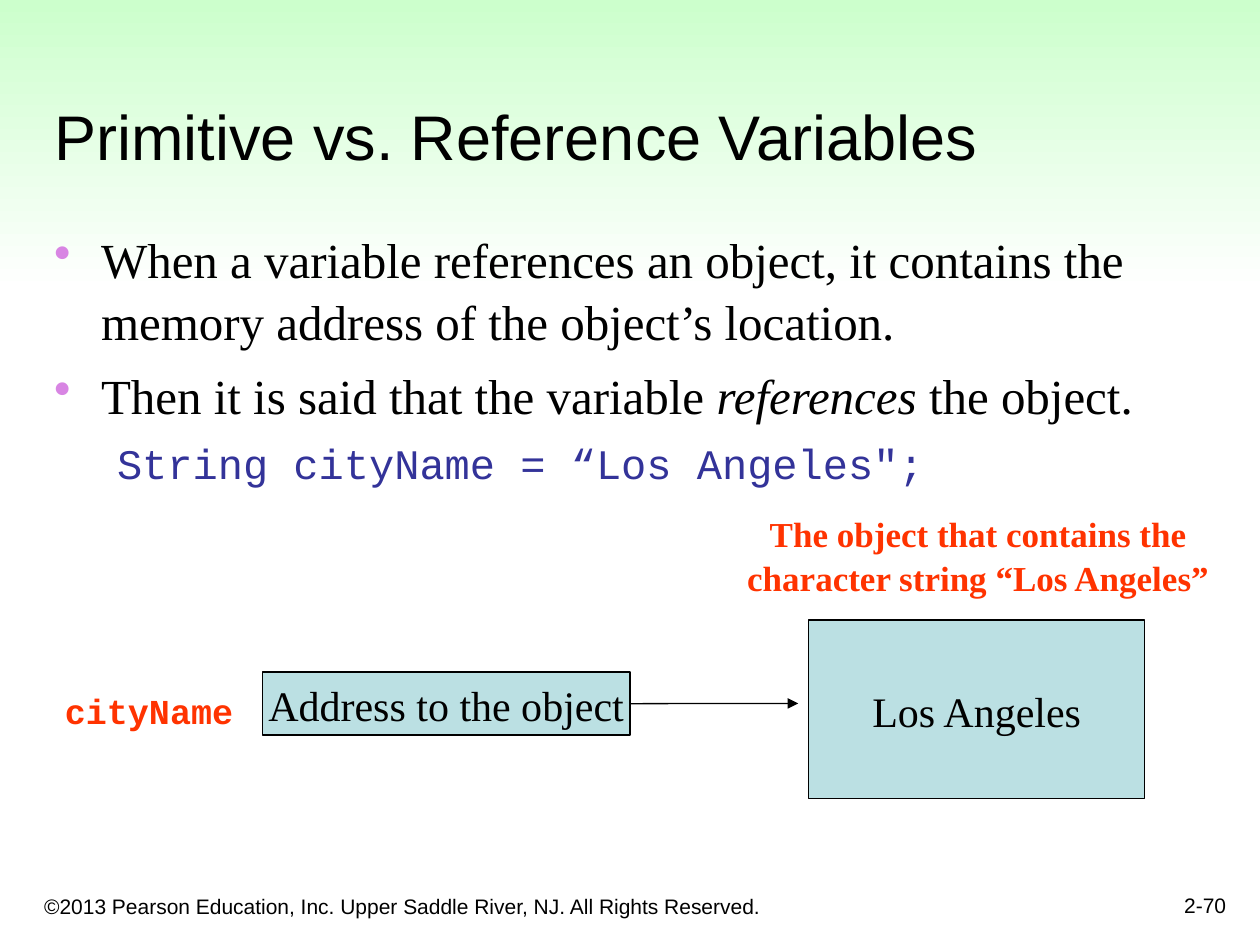
from dataclasses import dataclass

from lxml import etree
from pptx import Presentation
from pptx.dml.color import RGBColor
from pptx.enum.shapes import MSO_CONNECTOR, MSO_SHAPE
from pptx.enum.text import MSO_ANCHOR, MSO_AUTO_SIZE, PP_ALIGN
from pptx.oxml.ns import qn
from pptx.util import Cm, Pt

LEFT, CENTER, RIGHT = PP_ALIGN.LEFT, PP_ALIGN.CENTER, PP_ALIGN.RIGHT
TOP, MIDDLE, BOTTOM = MSO_ANCHOR.TOP, MSO_ANCHOR.MIDDLE, MSO_ANCHOR.BOTTOM
RECTANGLE, STRAIGHT = MSO_SHAPE.RECTANGLE, MSO_CONNECTOR.STRAIGHT
NO_AUTOFIT = MSO_AUTO_SIZE.NONE
RIGHT_SIDE = 3


@dataclass(frozen=True)
class Theme:
    sans: str = "Arial"
    serif: str = "Times New Roman"
    mono: str = "Courier New"
    black: RGBColor = RGBColor(0x00, 0x00, 0x00)
    white: RGBColor = RGBColor(0xFF, 0xFF, 0xFF)
    green: RGBColor = RGBColor(0xCC, 0xFF, 0xCC)
    box: RGBColor = RGBColor(0xBB, 0xE0, 0xE3)
    code: RGBColor = RGBColor(0x33, 0x33, 0x99)
    label: RGBColor = RGBColor(0xFF, 0x33, 0x00)
    bullet: str = "D885E3"
    title_size: Pt = Pt(36)
    body_size: Pt = Pt(28)
    code_size: Pt = Pt(24)
    label_size: Pt = Pt(20)
    footer_size: Pt = Pt(12)
    line_width: Pt = Pt(0.75)
    line_spacing: float = 1.05


theme = Theme()


def style(paragraph, font_name, size, color, alignment=LEFT, bold=False):
    paragraph.alignment = alignment
    paragraph.line_spacing = theme.line_spacing
    font = paragraph.font
    font.name, font.size, font.bold = font_name, size, bold
    font.color.rgb = color


def set_frame(shape, anchor, wrap):
    frame = shape.text_frame
    frame.auto_size = NO_AUTOFIT
    frame.vertical_anchor = anchor
    frame.word_wrap = wrap
    return frame


presentation = Presentation()
presentation.slide_width, presentation.slide_height = Cm(25.4), Cm(19.05)
slide = presentation.slides.add_slide(presentation.slide_layouts[5])
shapes = slide.shapes
slide.background.fill.solid()
slide.background.fill.fore_color.rgb = theme.white

band = shapes.add_shape(RECTANGLE, 0, 0, presentation.slide_width, Cm(5.9))
band.shadow.inherit = False
band.line.fill.background()
band.fill.gradient()
band.fill.gradient_angle = 270
for stop, color in zip(band.fill.gradient_stops, (theme.green, theme.white)):
    stop.color.rgb = color
shapes._spTree.insert(2, band._element)

title = shapes.title
title.left, title.top, title.width, title.height = Cm(0.84), Cm(0.84), Cm(23.93), Cm(2.77)
title_frame = set_frame(title, BOTTOM, True)
title_frame.text = "Primitive vs. Reference Variables"
style(title_frame.paragraphs[0], theme.sans, theme.title_size, theme.black)

body = shapes.add_textbox(Cm(0.84), Cm(4.45), Cm(23.04), Cm(6.55))
body_frame = set_frame(body, TOP, True)
body_frame.margin_right = 0
bullets = [
    [("When a variable references an object, it contains the memory address of the object’s location.", False)],
    [("Then it is said that the variable ", False), ("references", True), (" the object.", False)],
]
for index, runs in enumerate(bullets):
    paragraph = body_frame.add_paragraph() if index else body_frame.paragraphs[0]
    for text, italic in runs:
        run = paragraph.add_run()
        run.text = text
        if italic:
            run.font.italic = True
    properties = paragraph._p.get_or_add_pPr()
    properties.set("marL", str(Cm(0.95)))
    properties.set("indent", str(-Cm(0.95)))
    bullet_color = etree.SubElement(properties, qn("a:buClr"))
    etree.SubElement(bullet_color, qn("a:srgbClr"), val=theme.bullet)
    etree.SubElement(properties, qn("a:buChar"), char="•")
    style(paragraph, theme.serif, theme.body_size, theme.black)
    if index:
        paragraph.space_before = Pt(7)

code = body_frame.add_paragraph()
code.text = "String cityName = “Los Angeles\";"
code_properties = code._p.get_or_add_pPr()
code_properties.set("marL", str(Cm(2.06)))
code_properties.set("indent", str(-Cm(0.79)))
etree.SubElement(code_properties, qn("a:buNone"))
style(code, theme.mono, theme.code_size, theme.code)
code.space_before = Pt(6)

boxes = {}
for text, left, top, width, height in [
    ("Los Angeles", 16.3, 12.5, 6.78, 3.6),
    ("Address to the object", 5.29, 13.55, 7.41, 1.27),
]:
    box = shapes.add_shape(RECTANGLE, Cm(left), Cm(top), Cm(width), Cm(height))
    box.shadow.inherit = False
    box.fill.solid()
    box.fill.fore_color.rgb = theme.box
    box.line.color.rgb = theme.black
    box.line.width = theme.line_width
    box_frame = set_frame(box, MIDDLE, False)
    box_frame.text = text
    style(box_frame.paragraphs[0], theme.serif, theme.code_size, theme.black, CENTER)
    boxes[text] = box

arrow = shapes.add_connector(STRAIGHT, Cm(12.7), Cm(14.18), Cm(16.09), Cm(14.18))
arrow.begin_connect(boxes["Address to the object"], RIGHT_SIDE)
arrow.line.color.rgb = theme.black
arrow.line.width = theme.line_width
etree.SubElement(arrow.line._get_or_add_ln(), qn("a:tailEnd"), type="triangle")
etree.SubElement(arrow._element.spPr, qn("a:effectLst"))

for lines, left, top, width, height, anchor, wrap, font_name, size, color, alignment, bold in [
    (["cityName"], 1.06, 13.74, 3.89, 1.12, TOP, False,
     theme.mono, theme.label_size, theme.label, LEFT, True),
    (["The object that contains the", "character string “Los Angeles”"], 14.78, 10.16, 9.88, 1.96, TOP, False,
     theme.serif, theme.label_size, theme.label, CENTER, True),
    (["©2013 Pearson Education, Inc. Upper Saddle River, NJ. All Rights Reserved."], 0.64, 17.58, 15.44, 1.07,
     BOTTOM, True, theme.sans, theme.footer_size, theme.black, LEFT, False),
    (["2-70"], 19.69, 17.35, 5.28, 1.27, BOTTOM, True,
     theme.sans, theme.footer_size, theme.black, RIGHT, False),
]:
    text_box = shapes.add_textbox(Cm(left), Cm(top), Cm(width), Cm(height))
    text_frame = set_frame(text_box, anchor, wrap)
    text_frame.text = "\n".join(lines)
    for paragraph in text_frame.paragraphs:
        style(paragraph, font_name, size, color, alignment, bold)

presentation.save("out.pptx")
